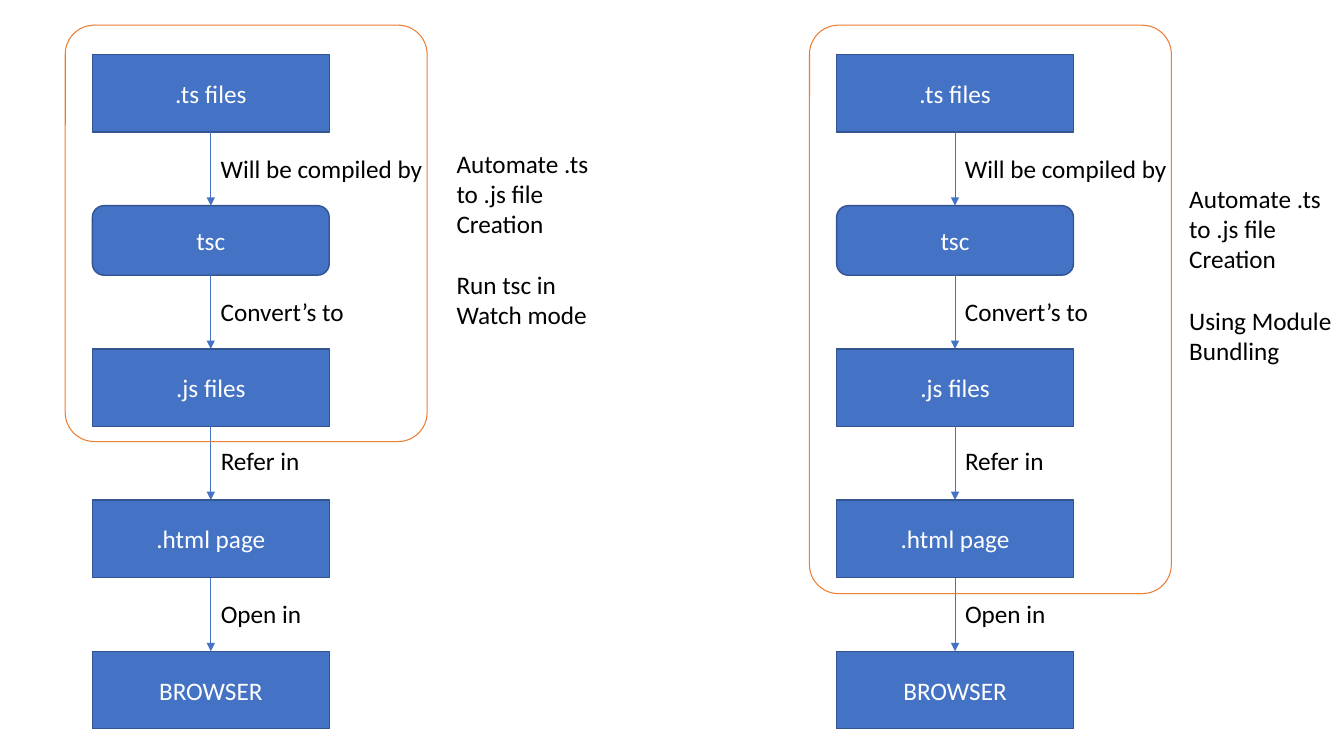
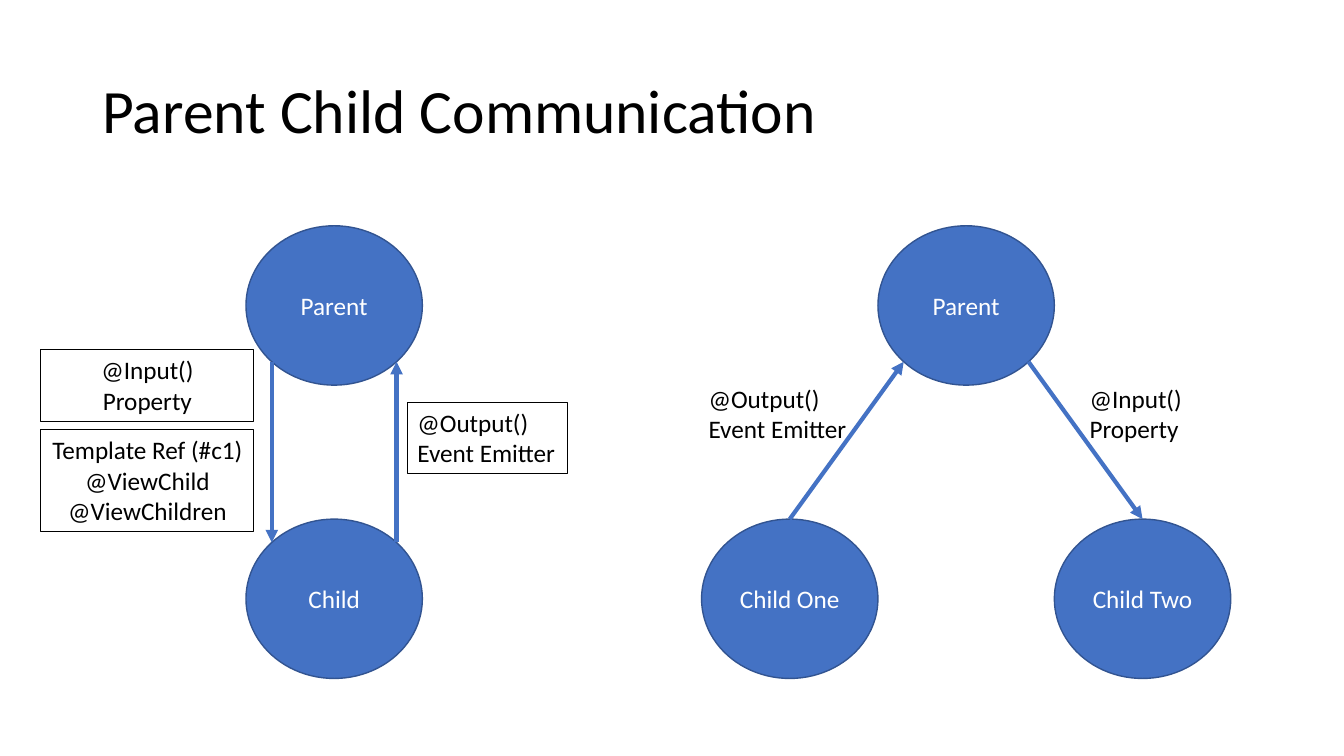
from dataclasses import dataclass
from math import cos, radians, sin
from typing import NamedTuple

from lxml.etree import SubElement
from pptx import Presentation
from pptx.dml.color import RGBColor
from pptx.enum.shapes import MSO_CONNECTOR, MSO_SHAPE
from pptx.enum.text import MSO_ANCHOR, MSO_AUTO_SIZE, PP_ALIGN
from pptx.oxml.ns import qn
from pptx.shapes.autoshape import Shape
from pptx.shapes.connector import Connector
from pptx.slide import Slide
from pptx.text.text import TextFrame
from pptx.util import Pt

COLORS = {
    "node": "4472C4",
    "edge": "325491",
    "scope": "ED7D31",
    "ink": "000000",
    "light": "FFFFFF",
}
BODY_FONT = {"name": "Calibri", "size": Pt(18)}
TITLE_FONT = {"name": "Calibri", "size": Pt(44)}
NODE_FRAME = {"vertical_anchor": MSO_ANCHOR.MIDDLE, "word_wrap": True}
TITLE_FRAME = {**NODE_FRAME, "auto_size": MSO_AUTO_SIZE.NONE}
TITLE_PLACE = {"left": Pt(66), "top": Pt(28.8), "width": Pt(828), "height": Pt(104.4)}
CENTERED = {"alignment": PP_ALIGN.CENTER}
LEFT = {"alignment": PP_ALIGN.LEFT}
TITLE_LINE = {**LEFT, "line_spacing": 0.9}

FLOW_TOP = 38.9
STEP_WIDTH = 169.2
STEP_GAP = 52.6
SCOPE_TOP = 18
SCOPE_INSET = 19.4
SCOPE_WIDTH = 258.5
LABEL_HEIGHT = 29
BLOCK_GAP = 22
CIRCLE_WIDTH = 126
CIRCLE_HEIGHT = 113.8
PARENT_TOP = 161.3
CHILD_TOP = 370.8


class Box(NamedTuple):
    left: float
    top: float
    width: float
    height: float


class Point(NamedTuple):
    x: float
    y: float


@dataclass(frozen=True)
class Step:
    name: str
    height: float = 55.4
    outline: MSO_SHAPE = MSO_SHAPE.RECTANGLE
    label: str = ""
    label_width: float = 0
    label_drop: float = 11.5


@dataclass(frozen=True)
class Flow:
    left: float
    scope_height: float
    note: Box
    blocks: tuple[tuple[str, ...], ...]


@dataclass(frozen=True)
class Member:
    name: str
    left: float
    top: float

    def rim(self, degrees: float) -> Point:
        angle = radians(degrees)
        return Point(
            self.left + CIRCLE_WIDTH / 2 * (1 + cos(angle)),
            self.top + CIRCLE_HEIGHT / 2 * (1 + sin(angle)),
        )


@dataclass(frozen=True)
class Caption:
    box: Box
    lines: tuple[str, ...]
    framed: bool = False
    centered: bool = False
    wrap: bool = False


STEPS = (
    Step(".ts files", label="Will be compiled by", label_width=160.6),
    Step("tsc", 49.7, MSO_SHAPE.ROUNDED_RECTANGLE, "Convert’s to", 103.7),
    Step(".js files", label="Refer in", label_width=71.3, label_drop=10.1),
    Step(".html page", label="Open in", label_width=72.7),
    Step("BROWSER"),
)
AUTOMATION = ("Automate .ts", "to .js file", "Creation")
FLOWS = (
    Flow(66, 297.4, Box(319, 102.2, 113.8, 138.2),
         (AUTOMATION, ("Run tsc in", "Watch mode"))),
    Flow(597.6, 406, Box(842.4, 127.4, 117.4, 138.2),
         (AUTOMATION, ("Using Module", "Bundling"))),
)

PARENT = Member("Parent", 175.7, PARENT_TOP)
CHILD = Member("Child", 175.7, CHILD_TOP)
SHARED_PARENT = Member("Parent", 627.1, PARENT_TOP)
CHILD_ONE = Member("Child One", SHARED_PARENT.left - CIRCLE_WIDTH, CHILD_TOP)
CHILD_TWO = Member("Child Two", SHARED_PARENT.left + CIRCLE_WIDTH, CHILD_TOP)
MEMBERS = (PARENT, CHILD, SHARED_PARENT, CHILD_ONE, CHILD_TWO)
MESSAGES = (
    (PARENT.rim(135), CHILD.rim(225)),
    (CHILD.rim(315), PARENT.rim(45)),
    (CHILD_ONE.rim(270), SHARED_PARENT.rim(135)),
    (SHARED_PARENT.rim(45), CHILD_TWO.rim(270)),
)
INPUT = ("@Input()", "Property")
OUTPUT = ("@Output()", "Event Emitter")
REFERENCES = ("Template Ref (#c1)", "@ViewChild", "@ViewChildren")
CAPTIONS = (
    Caption(Box(29.2, 249.8, 152.2, 51), INPUT, framed=True, centered=True, wrap=True),
    Caption(Box(29.2, 306.9, 152.2, 72.7), REFERENCES, framed=True, centered=True),
    Caption(Box(291, 287.3, 114.5, 51), OUTPUT, framed=True),
    Caption(Box(499, 270, 114.5, 51), OUTPUT),
    Caption(Box(771.2, 270, 81.4, 51), INPUT),
)


def rgb(role: str) -> RGBColor:
    return RGBColor.from_string(COLORS[role])


def apply(target: object, values: dict) -> None:
    for attribute, value in values.items():
        setattr(target, attribute, value)


def write(frame: TextFrame, blocks: tuple[tuple[str, ...], ...], role: str,
          font: dict, line_format: dict) -> None:
    fresh = True
    for block_index, block in enumerate(blocks):
        for line_index, line in enumerate(block):
            paragraph = frame.paragraphs[0] if fresh else frame.add_paragraph()
            fresh = False
            apply(paragraph, line_format)
            if block_index and not line_index:
                paragraph.space_before = Pt(BLOCK_GAP)
            run = paragraph.add_run()
            run.text = line
            apply(run.font, font)
            run.font.color.rgb = rgb(role)


def add_outline(slide: Slide, kind: MSO_SHAPE, box: Box, role: str,
                weight: float) -> Shape:
    outline = slide.shapes.add_shape(kind, *map(Pt, box))
    outline.shadow.inherit = False
    outline.fill.background()
    outline.line.color.rgb = rgb(role)
    outline.line.width = Pt(weight)
    return outline


def add_node(slide: Slide, kind: MSO_SHAPE, box: Box, name: str) -> Shape:
    node = add_outline(slide, kind, box, "edge", 1)
    node.fill.solid()
    node.fill.fore_color.rgb = rgb("node")
    apply(node.text_frame, NODE_FRAME)
    write(node.text_frame, ((name,),), "light", BODY_FONT, CENTERED)
    return node


def add_text(slide: Slide, box: Box, blocks: tuple[tuple[str, ...], ...]) -> None:
    text = slide.shapes.add_textbox(*map(Pt, box))
    text.text_frame.word_wrap = False
    write(text.text_frame, blocks, "ink", BODY_FONT, LEFT)


def add_arrow(slide: Slide, start: Point, end: Point, weight: float) -> Connector:
    arrow = slide.shapes.add_connector(
        MSO_CONNECTOR.STRAIGHT, *map(Pt, (*start, *end)))
    arrow.line.color.rgb = rgb("node")
    arrow.line.width = Pt(weight)
    properties = arrow.element.spPr
    SubElement(properties.find(qn("a:ln")), qn("a:tailEnd"), type="triangle")
    SubElement(properties, qn("a:effectLst"))
    return arrow


def add_flow(slide: Slide, flow: Flow) -> None:
    middle = flow.left + STEP_WIDTH / 2
    top = FLOW_TOP
    nodes = []
    for step in STEPS:
        box = Box(flow.left, top, STEP_WIDTH, step.height)
        nodes.append(add_node(slide, step.outline, box, step.name))
        bottom = top + step.height
        top = bottom + STEP_GAP
        if step.label:
            label_box = Box(middle, bottom + step.label_drop,
                            step.label_width, LABEL_HEIGHT)
            add_text(slide, label_box, ((step.label,),))
    for upper, lower in zip(nodes, nodes[1:]):
        arrow = add_arrow(slide, Point(middle, 0), Point(middle, 0), 0.5)
        arrow.begin_connect(upper, 2)
        arrow.end_connect(lower, 0)
    scope_box = Box(flow.left - SCOPE_INSET, SCOPE_TOP, SCOPE_WIDTH, flow.scope_height)
    scope = add_outline(slide, MSO_SHAPE.ROUNDED_RECTANGLE, scope_box, "scope", 0.75)
    scope.adjustments[0] = 0.08
    add_text(slide, flow.note, flow.blocks)


def add_caption(slide: Slide, caption: Caption) -> None:
    if not caption.framed:
        add_text(slide, caption.box, (caption.lines,))
        return
    frame = add_outline(slide, MSO_SHAPE.RECTANGLE, caption.box, "ink", 0.75).text_frame
    apply(frame, {"vertical_anchor": MSO_ANCHOR.TOP, "word_wrap": caption.wrap})
    write(frame, (caption.lines,), "ink", BODY_FONT,
          CENTERED if caption.centered else LEFT)


def add_title(slide: Slide, heading: str) -> None:
    title = slide.shapes.title
    apply(title, TITLE_PLACE)
    apply(title.text_frame, TITLE_FRAME)
    write(title.text_frame, ((heading,),), "ink", TITLE_FONT, TITLE_LINE)


def main() -> None:
    deck = Presentation()
    apply(deck, {"slide_width": Pt(960), "slide_height": Pt(540)})
    title_only, blank = deck.slide_layouts[5], deck.slide_layouts[6]

    build_slide = deck.slides.add_slide(blank)
    for flow in FLOWS:
        add_flow(build_slide, flow)

    communication = deck.slides.add_slide(title_only)
    add_title(communication, "Parent Child Communication")
    for member in MEMBERS:
        box = Box(member.left, member.top, CIRCLE_WIDTH, CIRCLE_HEIGHT)
        add_node(communication, MSO_SHAPE.OVAL, box, member.name)
    for start, end in MESSAGES:
        add_arrow(communication, start, end, 3)
    for caption in CAPTIONS:
        add_caption(communication, caption)

    deck.save("out.pptx")


if __name__ == "__main__":
    main()
